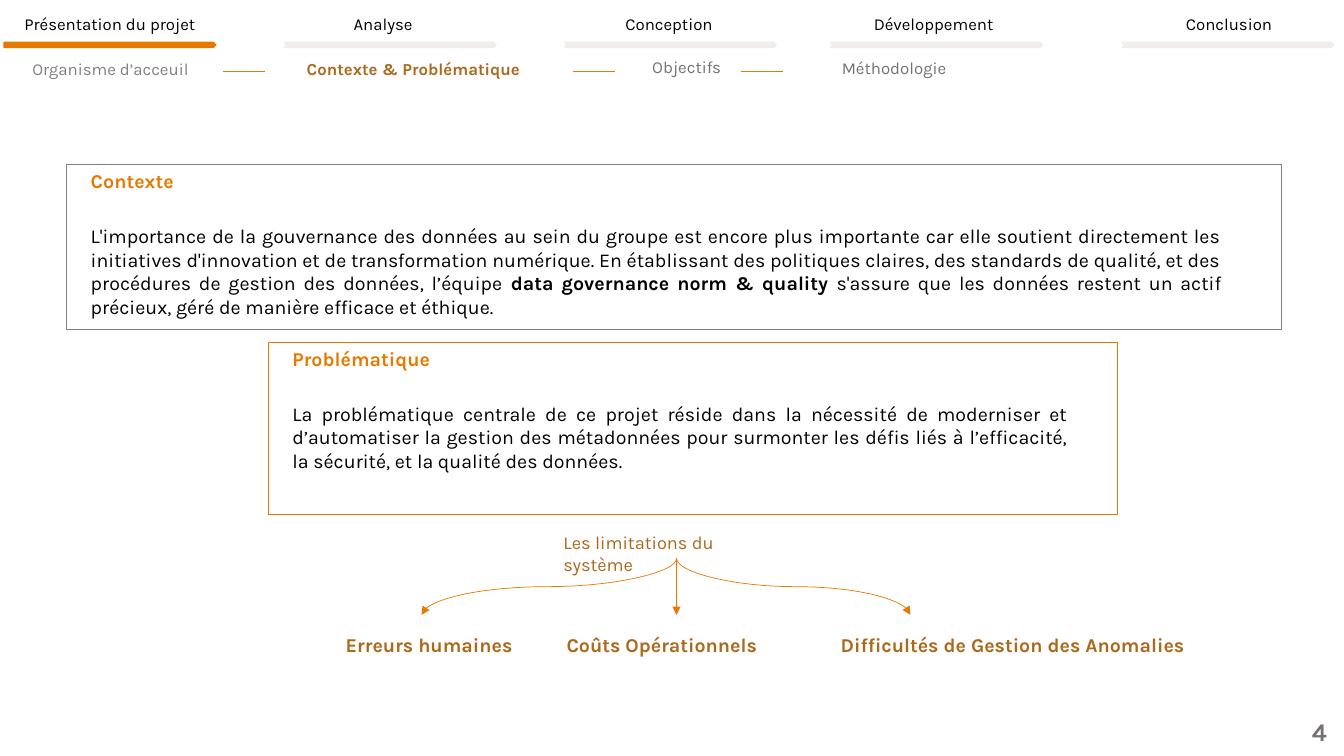
import pptx
import pptx.dml.color
import pptx.enum.dml
import pptx.enum.shapes
import pptx.enum.text
import pptx.oxml
import pptx.oxml.ns
import pptx.util

Inches = pptx.util.Inches
Pt = pptx.util.Pt
SHAPES = pptx.enum.shapes.MSO_SHAPE
CONNECTORS = pptx.enum.shapes.MSO_CONNECTOR
ALIGN = pptx.enum.text.PP_ALIGN
ANCHOR = pptx.enum.text.MSO_ANCHOR

ORANGE, BROWN, BLACK = "E67900", "AB691C", "000000"
PALE, GREY, MID_GREY = "F0EDEB", "767171", "808080"

CHAPTERS = [
    ("Présentation du projet", 0.1, 1.98, 0.04),
    ("Analyse", 2.81, 1.98, 2.82),
    ("Conception", 5.39, 2.49, 5.6),
    ("Développement", 8.3, 1.92, 8.24),
    ("Conclusion", 11.2, 1.98, 11.13),
]
SECTIONS = [
    ("Organisme d’acceuil", (0.21, 0.55, 2.09, 0.26), MID_GREY),
    ("Contexte & Problématique", (2.93, 0.54, 2.39, 0.28), BROWN),
    ("Objectifs", (6.36, 0.55, 0.96, 0.23), GREY),
    ("Méthodologie", (8.24, 0.57, 2.21, 0.21), GREY),
]
CONTEXT = [
    ("L'importance de la gouvernance des données au sein du groupe est encore plus "
     "importante car elle soutient directement les initiatives d'innovation et de "
     "transformation numérique. En établissant des politiques claires, des standards "
     "de qualité, et des procédures de gestion des données, l’équipe ", False),
    ("data governance norm & quality ", True),
    ("s'assure que les données restent un actif précieux, géré de manière efficace "
     "et éthique.", False),
]
PROBLEM = [
    ("La problématique centrale de ce projet réside dans la nécessité de moderniser "
     "et d’automatiser la gestion des métadonnées pour surmonter les défis liés à "
     "l’efficacité, la sécurité, et la qualité des données.", False),
]
LIMITS = [
    ("Erreurs humaines", 3.33, 1.87, ALIGN.LEFT),
    ("Coûts Opérationnels", 5.5, 2.13, ALIGN.CENTER),
    ("Difficultés de Gestion des Anomalies", 8.24, 3.64, ALIGN.LEFT),
]


def rgb(code):
    """Return the colour of a hex string."""
    return pptx.dml.color.RGBColor.from_string(code)


def write(paragraph, text, size=12, color=BLACK, bold=False, align=ALIGN.LEFT):
    """Add a formatted run to a paragraph."""
    paragraph.alignment = align
    run = paragraph.add_run()
    run.text = text
    run.font.name = "Karla"
    run.font.size = Pt(size)
    run.font.bold = bold
    run.font.color.rgb = rgb(color)


def add_label(slide, text, box, wrap=True, **style):
    """Add a text box holding one paragraph."""
    frame = slide.shapes.add_textbox(*map(Inches, box)).text_frame
    frame.word_wrap = wrap
    frame.auto_size = pptx.enum.text.MSO_AUTO_SIZE.SHAPE_TO_FIT_TEXT
    write(frame.paragraphs[0], text, **style)


def add_plain_shape(slide, kind, box, fill=None, line=None, width=1):
    """Add a preset shape without a shadow."""
    shape = slide.shapes.add_shape(kind, *map(Inches, box))
    shape.shadow.inherit = False
    if fill:
        shape.fill.solid()
        shape.fill.fore_color.rgb = rgb(fill)
    else:
        shape.fill.background()
    if line:
        shape.line.color.rgb = rgb(line)
        shape.line.width = Pt(width)
    else:
        shape.line.fill.background()
    return shape


def add_section(slide, text, box, color):
    """Add an entry of the section trail."""
    frame = add_plain_shape(slide, SHAPES.ROUNDED_RECTANGLE, box).text_frame
    frame.word_wrap = True
    frame.vertical_anchor = ANCHOR.MIDDLE
    write(frame.paragraphs[0], text, color=color, bold=color == BROWN)


def add_callout(slide, box, border, title, body):
    """Add a dotted frame with a heading and a justified body."""
    callout = add_plain_shape(slide, SHAPES.RIGHT_ARROW_CALLOUT, box, line=border, width=0.25)
    callout.line.dash_style = pptx.enum.dml.MSO_LINE.ROUND_DOT
    for index, value in enumerate((1, 0.5, 0, 0.971)):
        callout.adjustments[index] = value
    frame = callout.text_frame
    frame.word_wrap = True
    frame.vertical_anchor = ANCHOR.TOP
    frame.margin_left = frame.margin_right = Inches(0.24)
    heading = frame.paragraphs[0]
    heading.space_after = Pt(3)
    write(heading, title, size=14, color=ORANGE, bold=True, align=ALIGN.JUSTIFY)
    content = frame.add_paragraph()
    content.space_before = Pt(19.4)
    for text, bold in body:
        write(content, text, size=14, bold=bold, align=ALIGN.JUSTIFY)


def add_line(slide, start, end, kind=CONNECTORS.STRAIGHT, arrow=False):
    """Add a thin orange connector, with an arrowhead if asked."""
    connector = slide.shapes.add_connector(kind, *map(Inches, (*start, *end)))
    connector.line.color.rgb = rgb(ORANGE)
    connector.line.width = Pt(0.5)
    properties = connector.element.spPr
    if arrow:
        head = pptx.oxml.parse_xml(
            f'<a:tailEnd {pptx.oxml.ns.nsdecls("a")} type="triangle"/>')
        properties.find(pptx.oxml.ns.qn("a:ln")).append(head)
    properties.append(pptx.oxml.parse_xml(f'<a:effectLst {pptx.oxml.ns.nsdecls("a")}/>'))
    return connector


def add_branch(slide, start, end):
    """Add a curved arrow that leaves and arrives vertically."""
    (x0, y0), (x1, y1) = start, end
    half_drop, half_span = (y1 - y0) / 2, abs(x1 - x0) / 2
    middle_x, middle_y = (x0 + x1) / 2, (y0 + y1) / 2
    rightward = x1 > x0
    reach = -half_drop if rightward else half_drop
    branch = add_line(slide, (middle_x - reach, middle_y - half_span),
                      (middle_x + reach, middle_y + half_span),
                      CONNECTORS.CURVE, arrow=True)
    turn = 270 if rightward else 90
    branch.element.spPr.find(pptx.oxml.ns.qn("a:xfrm")).set("rot", str(turn * 60000))


def main():
    """Build the slide and save it."""
    deck = pptx.Presentation()
    deck.slide_width, deck.slide_height = Inches(13.33), Inches(7.5)
    slide = deck.slides.add_slide(deck.slide_layouts[6])

    for index, (chapter, left, width, bar_left) in enumerate(CHAPTERS):
        kind, color = (SHAPES.CHEVRON, PALE) if index else (SHAPES.PENTAGON, ORANGE)
        add_plain_shape(slide, kind, (bar_left, 0.42, 2.1, 0.05), fill=color, line=color)
        add_label(slide, chapter, (left, 0.09, width, 0.3), align=ALIGN.CENTER)
    add_label(slide, " 4", (12.79, 7.06, 0.53, 0.4), size=18, color=GREY, bold=True,
              align=ALIGN.CENTER)

    for section in SECTIONS:
        add_section(slide, *section)
    for dash_left in (2.21, 5.68, 7.35):
        add_line(slide, (dash_left, 0.71), (dash_left + 0.42, 0.71))

    add_callout(slide, (0.66, 1.63, 12.05, 1.64), MID_GREY, "Contexte ", CONTEXT)
    add_callout(slide, (2.66, 3.39, 8.42, 1.71), ORANGE, "Problématique ", PROBLEM)

    fork = (6.71, 5.54)
    for tip in (9.03, 4.18):
        add_branch(slide, fork, (tip, 6.1))
    add_label(slide, "Les limitations du système", (5.49, 5.22, 2.34, 0.32), size=13,
              color=BROWN)
    for limit, left, width, align in LIMITS:
        add_label(slide, limit, (left, 6.23, width, 0.34), wrap=False, size=14,
                  color=BROWN, bold=True, align=align)
    add_line(slide, fork, (6.71, 6.1), arrow=True)

    deck.save("out.pptx")


if __name__ == "__main__":
    main()
